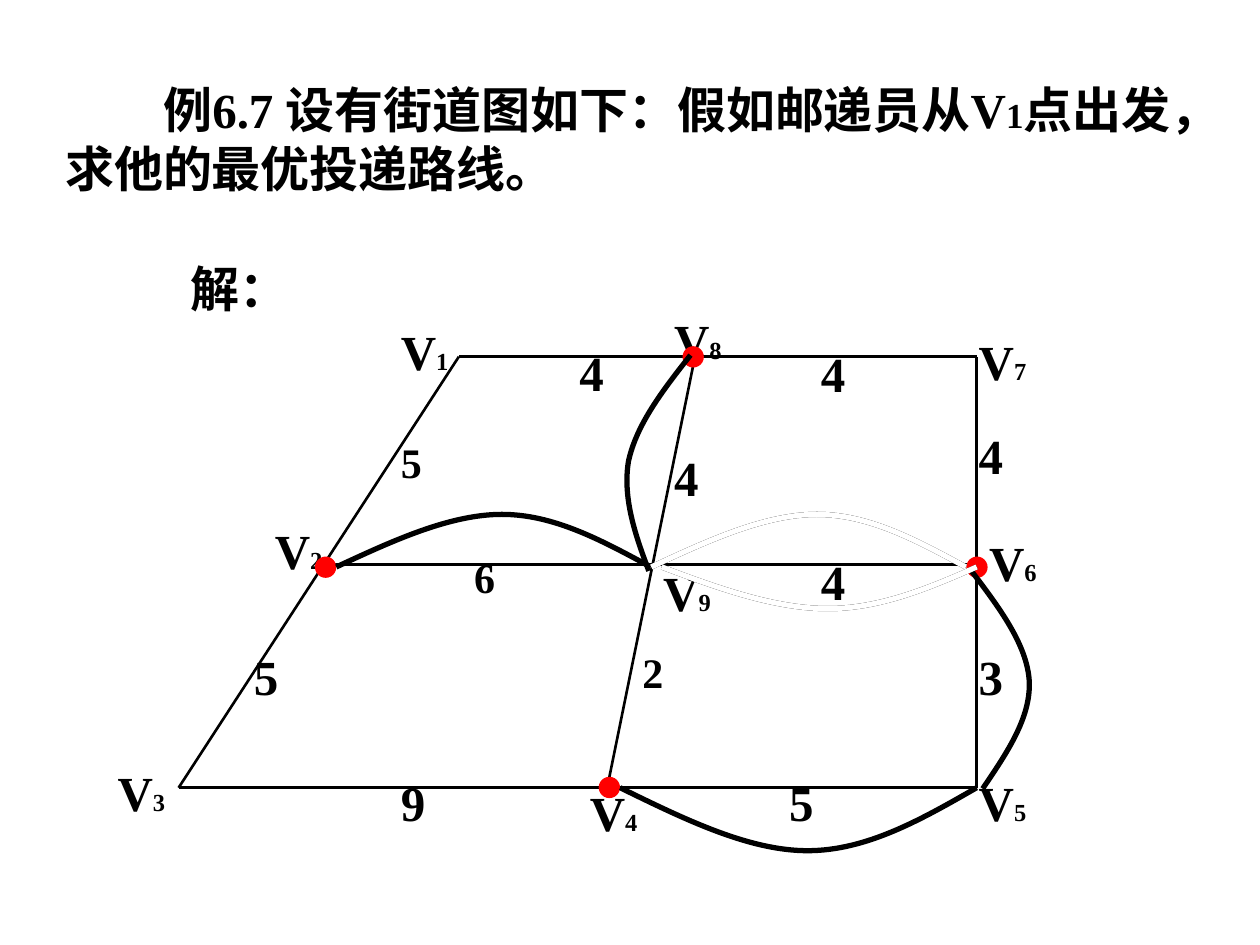
from typing import NamedTuple

from lxml.etree import SubElement
from pptx import Presentation
from pptx.dml.color import RGBColor
from pptx.enum.shapes import MSO_CONNECTOR as CONN, MSO_SHAPE as SHAPE
from pptx.enum.text import MSO_ANCHOR as ANCHOR, MSO_AUTO_SIZE as AUTO, PP_ALIGN as ALIGN
from pptx.oxml.ns import qn
from pptx.util import Cm, Pt

COLORS = {"ink": "000000", "odd": "FF0000", "paper": "FFFFFF"}
FONT = {"name": "Times New Roman", "bold": True}
DOT = 0.43

Point = tuple[float, float]


class Label(NamedTuple):
    x: float
    y: float
    text: str
    size: int = 28


class Curve(NamedTuple):
    points: list[Point]
    color: str = "ink"


# Graph data, in centimetres
LEFT, MID, RIGHT = 3.6, 6.58, 19.69
TOP, CENTRE, BOTTOM = 7.19, 11.38, 15.88
EDGES = [
    ((MID, CENTRE), (RIGHT, CENTRE)),
    ((9.25, TOP), (RIGHT, TOP)),
    ((LEFT, BOTTOM), (RIGHT, BOTTOM)),
    ((LEFT, BOTTOM), (9.25, TOP)),
    ((RIGHT, BOTTOM), (RIGHT, TOP)),
    ((14.01, TOP), (12.24, BOTTOM)),
]
WEIGHTS = [
    Label(19.48, 8.46, "4"), Label(16.3, 11, "4"), Label(13.34, 8.89, "4"),
    Label(16.3, 6.81, "4"), Label(11.43, 6.78, "4"), Label(15.66, 15.45, "5"),
    Label(7.83, 15.45, "9"), Label(9.31, 11, "6", 24), Label(4.87, 12.91, "5"),
    Label(7.83, 8.68, "5", 24), Label(19.48, 12.91, "3"), Label(12.7, 12.91, "2", 24),
]
VERTICES = [
    Label(7.83, 6.35, "1"), Label(13.12, 11.22, "9"), Label(11.64, 15.66, "4"),
    Label(2.12, 15.24, "3"), Label(5.29, 10.37, "2"), Label(13.34, 6.14, "8"),
    Label(19.48, 6.56, "7"), Label(19.69, 10.62, "6"), Label(19.48, 15.45, "5"),
]
ODD_VERTICES = [(6.35, 11.22), (12.07, 15.66), (19.48, 11.22), (13.76, 6.98)]

# Added edges: a start point, then three points for each Bezier segment
V2_V9 = [(6.78, 11.43), (7.92, 10.9), (9.07, 10.37), (10.12, 10.37),
         (11.17, 10.37), (12.14, 10.9), (13.12, 11.43)]
V9_V6 = [(x + 6.35, y) for x, y in V2_V9]
V6_V5 = [(19.56, 11.48), (20.14, 12.24), (20.71, 13), (20.75, 13.74),
         (20.78, 14.48), (20.29, 15.19), (19.81, 15.9)]
V4_V5 = [(12.5, 15.88), (13.79, 16.51), (15.09, 17.15), (16.28, 17.15),
         (17.48, 17.15), (18.59, 16.51), (19.69, 15.88)]
V8_V9 = [(13.92, 7.16), (13.36, 7.87), (12.83, 8.56), (12.67, 9.3),
         (12.55, 10.03), (12.8, 10.77), (13.08, 11.51)]
V9_V6_LOW = [(13.34, 11.43), (14.48, 11.86), (15.62, 12.27), (16.69, 12.27),
             (17.73, 12.27), (18.72, 11.86), (19.69, 11.43)]
CURVES = [
    *(Curve(c) for c in (V2_V9, V9_V6, V6_V5, V4_V5, V8_V9, V9_V6_LOW)),
    *(Curve(c, "paper") for c in (V9_V6, V9_V6_LOW)),
]


def rgb(name: str) -> RGBColor:
    return RGBColor.from_string(COLORS[name])


def write(sp, runs: list[tuple[str, int]], before: float) -> None:
    tf = sp.text_frame
    tf.word_wrap, tf.auto_size, tf.vertical_anchor = True, AUTO.NONE, ANCHOR.TOP
    p = tf.paragraphs[0]
    p.alignment, p.space_before = ALIGN.LEFT, Pt(before)
    for text, size in runs:
        r = p.add_run()
        r.text = text
        for key, value in {**FONT, "size": Pt(size)}.items():
            setattr(r.font, key, value)
        r.font.color.rgb = rgb("ink")


def add_text(shapes, x: float, y: float, w: float, runs: list[tuple[str, int]],
             before: float) -> None:
    height = 1.45 if runs[0][1] == 28 else 1.27
    write(shapes.add_textbox(Cm(x), Cm(y), Cm(w), Cm(height)), runs, before)


def add_edge(shapes, start: Point, end: Point) -> None:
    line = shapes.add_connector(CONN.STRAIGHT, *(Cm(v) for v in start + end))
    line.line.color.rgb, line.line.width = rgb("ink"), Pt(1.5)
    SubElement(line._element.spPr, qn("a:effectLst"))


def add_dot(shapes, x: float, y: float) -> None:
    dot = shapes.add_shape(SHAPE.OVAL, Cm(x), Cm(y), Cm(DOT), Cm(DOT))
    dot.shadow.inherit = False
    dot.fill.solid()
    dot.fill.fore_color.rgb = rgb("odd")
    dot.line.fill.background()


def add_curve(shapes, curve: Curve) -> None:
    start, *rest = [(Cm(x), Cm(y)) for x, y in curve.points]
    builder = shapes.build_freeform(*start)
    builder.add_line_segments(rest, close=False)
    sp = builder.convert_to_shape()
    sp.shadow.inherit = False
    sp.fill.background()
    sp.line.color.rgb, sp.line.width = rgb(curve.color), Pt(3)
    # Turn each three straight segments into one cubic Bezier
    segments = list(sp._element.iter(qn("a:lnTo")))
    outline = segments[0].getparent()
    for i in range(0, len(segments), 3):
        bezier = SubElement(outline, qn("a:cubicBezTo"))
        for segment in segments[i:i + 3]:
            bezier.append(segment[0])
            outline.remove(segment)


def main() -> None:
    prs = Presentation()
    prs.slide_width, prs.slide_height = Cm(25.4), Cm(19.05)
    slide = prs.slides.add_slide(prs.slide_layouts[5])
    shapes = slide.shapes

    # Problem statement
    title = shapes.title
    box = {"left": 1.06, "top": 1.48, "width": 22.86, "height": 2.64}
    for key, value in box.items():
        setattr(title, key, Cm(value))
    write(title, [("例6.7 设有街道图如下：假如邮递员从V", 28), ("1", 20),
                  ("点出发，求他的最优投递路线。", 28)], 17.5)
    title.text_frame.paragraphs[0]._p.get_or_add_pPr().set("indent", str(Cm(1.98)))

    # Street graph
    graph = shapes.add_group_shape().shapes
    for start, end in EDGES:
        add_edge(graph, start, end)
    for x, y, text, size in WEIGHTS:
        add_text(graph, x, y, 0.85, [(text, size)], size * 0.625)
    for x, y, text, size in VERTICES:
        add_text(graph, x, y, 1.48, [("V", size), (text, 14)], 8.8)

    # Solution: odd vertices and added edges
    add_text(shapes, 3.6, 5.08, 2.54, [("解：", 28)], 17.5)
    for x, y in ODD_VERTICES:
        add_dot(shapes, x, y)
    for curve in CURVES:
        add_curve(shapes, curve)

    prs.save("out.pptx")


if __name__ == "__main__":
    main()
